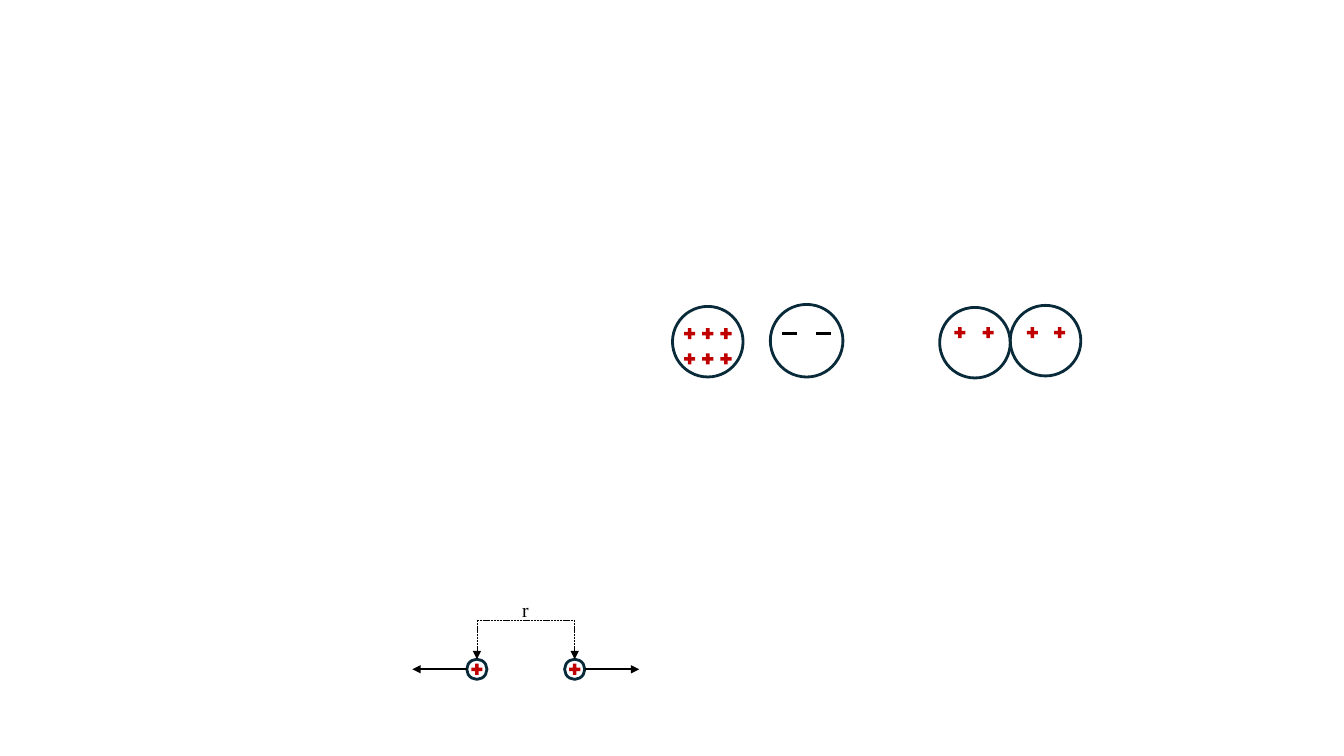
"""Build a slide of charged spheres and two repelling point charges."""
import itertools

import pptx
import pptx.dml.color
import pptx.enum.dml
import pptx.enum.shapes
import pptx.enum.text
import pptx.oxml.ns
import pptx.oxml.xmlchemy
import pptx.util

Inches = pptx.util.Inches
Pt = pptx.util.Pt
SHAPES = pptx.enum.shapes.MSO_SHAPE

COLORS = {"outline": "092A39", "positive": "C00000", "ink": "000000"}
SIGNS = {
    "plus": (SHAPES.MATH_PLUS, 0.15, 0.15, "positive"),
    "minus": (SHAPES.MATH_MINUS, 0.2, 0.15, "ink"),
}
SPHERES = [
    {"center": (8, 3.38), "diameter": 0.72, "sign": "minus", "columns": (7.83, 8.17), "rows": (3.31,)},
    {"center": (7.02, 3.39), "diameter": 0.7, "sign": "plus", "columns": (6.84, 7.02, 7.2), "rows": (3.31, 3.56)},
    {"center": (9.67, 3.4), "diameter": 0.7, "sign": "plus", "columns": (9.52, 9.8), "rows": (3.3,)},
    {"center": (10.37, 3.38), "diameter": 0.7, "sign": "plus", "columns": (10.24, 10.51), "rows": (3.3,)},
]
POINT_CHARGES = [(4.73, -1), (5.7, 1)]
POINT_ROW, POINT_DIAMETER = 6.64, 0.2
FORCE_LENGTH, BRACKET_ROW = 0.54, 6.15
DISTANCE_LABEL = {"text": "r", "size": 14, "font": "Times New Roman", "box": (5.08, 5.88, 0.27, 0.34)}


def rgb(name):
    return pptx.dml.color.RGBColor.from_string(COLORS[name])


def add_centered(group, kind, center, width, height):
    left, top = center[0] - width / 2, center[1] - height / 2
    shape = group.shapes.add_shape(kind, Inches(left), Inches(top), Inches(width), Inches(height))
    shape.shadow.inherit = False
    return shape


def add_circle(group, center, diameter):
    circle = add_centered(group, SHAPES.OVAL, center, diameter, diameter)
    circle.fill.background()
    circle.line.color.rgb = rgb("outline")
    circle.line.width = Pt(2)


def add_sign(group, name, center):
    kind, width, height, color = SIGNS[name]
    sign = add_centered(group, kind, center, width, height)
    sign.fill.solid()
    sign.fill.fore_color.rgb = rgb(color)
    sign.line.fill.background()


def add_line(group, start, end, width, dashed=False, arrow=True):
    connector = group.shapes.add_connector(
        pptx.enum.shapes.MSO_CONNECTOR.STRAIGHT, *(Inches(value) for value in start + end))
    connector.line.color.rgb = rgb("ink")
    connector.line.width = Pt(width)
    if dashed:
        connector.line.dash_style = pptx.enum.dml.MSO_LINE.SQUARE_DOT
    properties = connector._element.find(pptx.oxml.ns.qn("p:spPr"))
    if arrow:
        tail = pptx.oxml.xmlchemy.OxmlElement("a:tailEnd")
        tail.set("type", "triangle")
        properties.find(pptx.oxml.ns.qn("a:ln")).append(tail)
    properties.append(pptx.oxml.xmlchemy.OxmlElement("a:effectLst"))


def add_label(group, label):
    box = group.shapes.add_textbox(*(Inches(value) for value in label["box"]))
    box.text_frame.auto_size = pptx.enum.text.MSO_AUTO_SIZE.SHAPE_TO_FIT_TEXT
    box.text_frame.word_wrap = True
    run = box.text_frame.paragraphs[0].add_run()
    run.text = label["text"]
    for attribute, value in {"size": Pt(label["size"]), "name": label["font"]}.items():
        setattr(run.font, attribute, value)
    run.font.color.rgb = rgb("ink")


def main():
    presentation = pptx.Presentation()
    presentation.slide_width, presentation.slide_height = Inches(13.33), Inches(7.5)
    slide = presentation.slides.add_slide(presentation.slide_layouts[6])

    spheres = slide.shapes.add_group_shape()
    for sphere in SPHERES:
        add_circle(spheres, sphere["center"], sphere["diameter"])
        for center in itertools.product(sphere["columns"], sphere["rows"]):
            add_sign(spheres, sphere["sign"], center)

    repulsion = slide.shapes.add_group_shape()
    radius = POINT_DIAMETER / 2
    for column, direction in POINT_CHARGES:
        add_circle(repulsion, (column, POINT_ROW), POINT_DIAMETER)
        add_sign(repulsion, "plus", (column, POINT_ROW))
        edge = column + direction * radius
        add_line(repulsion, (edge, POINT_ROW), (edge + direction * FORCE_LENGTH, POINT_ROW), 1.5)
        add_line(repulsion, (column, BRACKET_ROW), (column, POINT_ROW - radius), 0.5, dashed=True)
    bracket_start, bracket_end = ((column, BRACKET_ROW) for column, _ in POINT_CHARGES)
    add_line(repulsion, bracket_start, bracket_end, 0.5, dashed=True, arrow=False)
    add_label(repulsion, DISTANCE_LABEL)

    presentation.save("out.pptx")


if __name__ == "__main__":
    main()
